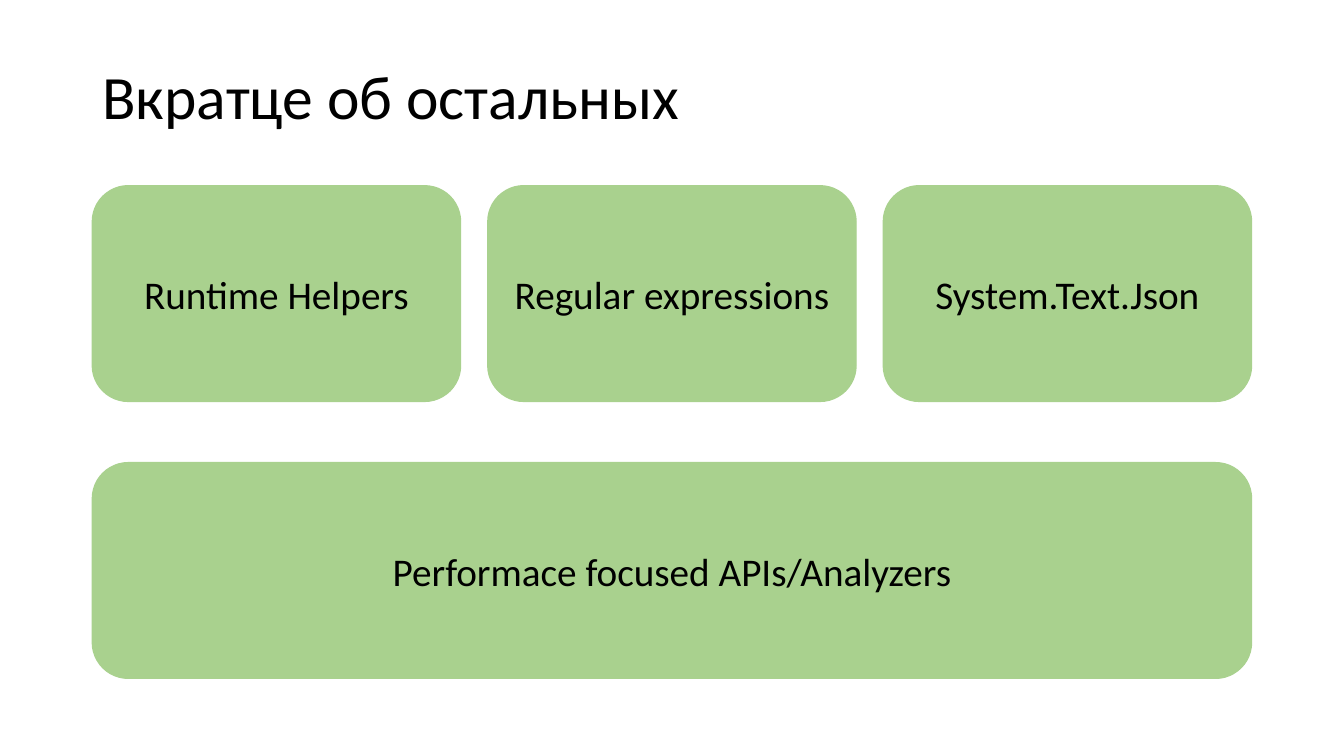
from pptx import Presentation
from pptx.dml.color import RGBColor
from pptx.enum.shapes import MSO_SHAPE
from pptx.enum.text import MSO_ANCHOR, MSO_AUTO_SIZE, PP_ALIGN
from pptx.util import Pt

ROUNDED = MSO_SHAPE.ROUNDED_RECTANGLE
MIDDLE = MSO_ANCHOR.MIDDLE
NO_FIT = MSO_AUTO_SIZE.NONE
LEFT, CENTER = PP_ALIGN.LEFT, PP_ALIGN.CENTER

MARGIN, CONTENT_W = 66, 828
CARD_W, CARD_H = 263, 154
ROW_TOPS = (132.7, 330.5)
TOPICS = ("Runtime Helpers", "Regular expressions", "System.Text.Json")


def color(value):
    return RGBColor.from_string(value)


def write(tf, text, size=28, font="Calibri", fill="000000", align=CENTER, spacing=1.0):
    tf.word_wrap = True
    tf.auto_size = NO_FIT
    tf.vertical_anchor = MIDDLE
    p = tf.paragraphs[0]
    p.alignment = align
    p.line_spacing = spacing
    r = p.add_run()
    r.text = text
    r.font.size = Pt(size)
    r.font.name = font
    r.font.color.rgb = color(fill)


class Deck:
    green = "A9D18E"

    def __init__(self, prs):
        self.s = prs.slides.add_slide(prs.slide_layouts[5])

    def title(self, text, x, y, w, h):
        sp = self.s.shapes.title
        sp.left, sp.top, sp.width, sp.height = Pt(x), Pt(y), Pt(w), Pt(h)
        write(sp.text_frame, text, size=44, align=LEFT, spacing=0.9)

    def card(self, text, x, y, w, h):
        sp = self.s.shapes.add_shape(ROUNDED, Pt(x), Pt(y), Pt(w), Pt(h))
        sp.shadow.inherit = False
        sp.fill.solid()
        sp.fill.fore_color.rgb = color(self.green)
        sp.line.color.rgb = color(self.green)
        sp.line.width = Pt(1)
        write(sp.text_frame, text)


def main():
    prs = Presentation()
    prs.slide_width, prs.slide_height = Pt(960), Pt(540)
    deck = Deck(prs)
    deck.title("Вкратце об остальных", MARGIN, 18.75, CONTENT_W, 104.4)
    pitch = (CONTENT_W - CARD_W) / (len(TOPICS) - 1)
    for i, topic in enumerate(TOPICS):
        deck.card(topic, MARGIN + i * pitch, ROW_TOPS[0], CARD_W, CARD_H)
    deck.card("Performace focused APIs/Analyzers", MARGIN, ROW_TOPS[1], CONTENT_W, CARD_H)
    prs.save("out.pptx")


if __name__ == "__main__":
    main()
